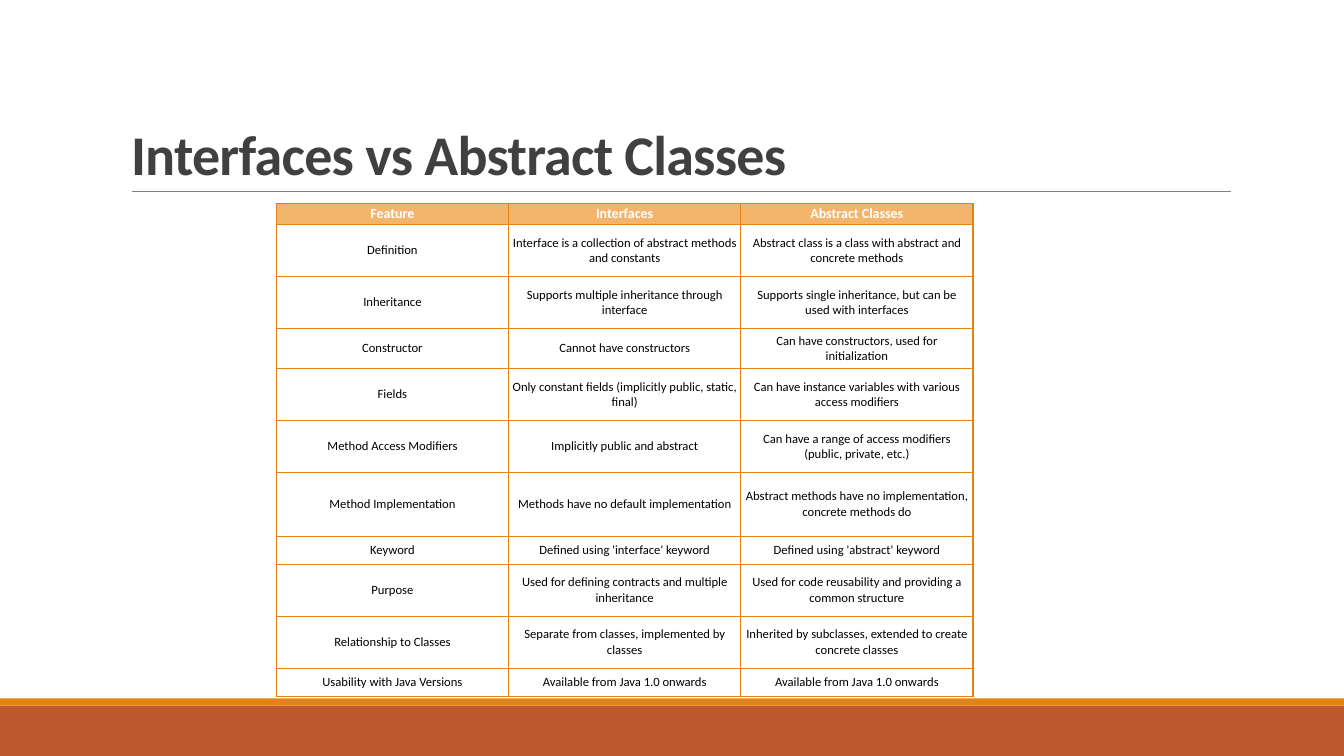
from dataclasses import dataclass

from lxml import etree
from pptx import Presentation
from pptx.dml.color import RGBColor
from pptx.enum.shapes import MSO_CONNECTOR, MSO_SHAPE
from pptx.enum.text import MSO_ANCHOR, MSO_AUTO_SIZE, PP_ALIGN
from pptx.oxml.ns import qn
from pptx.util import Inches, Pt

RECTANGLE = MSO_SHAPE.RECTANGLE
STRAIGHT = MSO_CONNECTOR.STRAIGHT
BOTTOM, MIDDLE = MSO_ANCHOR.BOTTOM, MSO_ANCHOR.MIDDLE
LEFT, CENTER = PP_ALIGN.LEFT, PP_ALIGN.CENTER
NO_AUTOFIT = MSO_AUTO_SIZE.NONE


@dataclass(frozen=True)
class Theme:
    font: str = "Calibri"
    title_size: float = 40
    header_size: float = 10
    body_size: float = 9
    title: str = "404040"
    header_text: str = "FFFFFF"
    body_text: str = "000000"
    accent: str = "E48312"
    footer: str = "BD582C"
    header_fill: str = "F3B56C"
    rule: str = "808080"


THEME = Theme()

SLIDE_WIDTH, SLIDE_HEIGHT = 13.33, 7.5
TABLE_LEFT, TABLE_TOP, TABLE_WIDTH = 2.74, 2.02, 6.91
HEADER_HEIGHT, BODY_HEIGHT = 0.16, 4.68

HEADERS = ("Feature", "Interfaces", "Abstract Classes")
# Each row: its share of the body height, then its three cells
COMPARISON = (
    (13, "Definition",
     "Interface is a collection of abstract methods and constants",
     "Abstract class is a class with abstract and concrete methods"),
    (13, "Inheritance",
     "Supports multiple inheritance through interface",
     "Supports single inheritance, but can be used with interfaces"),
    (10, "Constructor",
     "Cannot have constructors",
     "Can have constructors, used for initialization"),
    (13, "Fields",
     "Only constant fields (implicitly public, static, final)",
     "Can have instance variables with various access modifiers"),
    (13, "Method Access Modifiers",
     "Implicitly public and abstract",
     "Can have a range of access modifiers (public, private, etc.)"),
    (16, "Method Implementation",
     "Methods have no default implementation",
     "Abstract methods have no implementation, concrete methods do"),
    (7, "Keyword",
     "Defined using 'interface' keyword",
     "Defined using 'abstract' keyword"),
    (13, "Purpose",
     "Used for defining contracts and multiple inheritance",
     "Used for code reusability and providing a common structure"),
    (13, "Relationship to Classes",
     "Separate from classes, implemented by classes",
     "Inherited by subclasses, extended to create concrete classes"),
    (7, "Usability with Java Versions",
     "Available from Java 1.0 onwards",
     "Available from Java 1.0 onwards"),
)


def rgb(color):
    return RGBColor.from_string(color)


def add_run(paragraph, text, size, color, bold):
    run = paragraph.add_run()
    run.text = text
    run.font.name = THEME.font
    run.font.size = Pt(size)
    run.font.bold = bold
    run.font.color.rgb = rgb(color)
    return run


def add_band(slide, top, height, color):
    band = slide.shapes.add_shape(
        RECTANGLE, 0, Inches(top), Inches(SLIDE_WIDTH), Inches(height))
    band.shadow.inherit = False
    band.fill.solid()
    band.fill.fore_color.rgb = rgb(color)
    band.line.fill.background()


def add_title_rule(slide, left, right, y):
    rule = slide.shapes.add_connector(
        STRAIGHT, Inches(left), Inches(y), Inches(right), Inches(y))
    rule.line.color.rgb = rgb(THEME.rule)
    rule.line.width = Pt(0.5)
    etree.SubElement(rule._element.spPr, qn("a:effectLst"))


def set_title(slide, text):
    title = slide.shapes.title
    title.left, title.top = Inches(1.2), Inches(0.31)
    title.width, title.height = Inches(11), Inches(1.59)
    frame = title.text_frame
    frame.word_wrap = True
    frame.auto_size = NO_AUTOFIT
    frame.vertical_anchor = BOTTOM
    paragraph = frame.paragraphs[0]
    paragraph.alignment = LEFT
    paragraph.line_spacing = 0.85
    run = add_run(paragraph, text, THEME.title_size, THEME.title, True)
    run.font._element.set("spc", "-50")


def set_borders(cell):
    properties = cell._tc.get_or_add_tcPr()
    for side in ("lnL", "lnR", "lnT", "lnB"):
        border = etree.SubElement(properties, qn(f"a:{side}"), w=str(Pt(1)))
        fill = etree.SubElement(border, qn("a:solidFill"))
        etree.SubElement(fill, qn("a:srgbClr"), val=THEME.accent)


def fill_cell(cell, text, is_header):
    cell.margin_left = cell.margin_right = Inches(0.04)
    cell.margin_top = cell.margin_bottom = Inches(0.02)
    set_borders(cell)
    paragraph = cell.text_frame.paragraphs[0]
    paragraph.alignment = CENTER
    if is_header:
        cell.vertical_anchor = BOTTOM
        cell.fill.solid()
        cell.fill.fore_color.rgb = rgb(THEME.header_fill)
        add_run(paragraph, text, THEME.header_size, THEME.header_text, True)
    else:
        cell.vertical_anchor = MIDDLE
        cell.fill.background()
        add_run(paragraph, text, THEME.body_size, THEME.body_text, False)


def add_comparison_table(slide):
    rows = [HEADERS] + [cells for _, *cells in COMPARISON]
    total_share = sum(share for share, *_ in COMPARISON)
    heights = [HEADER_HEIGHT] + [
        BODY_HEIGHT * share / total_share for share, *_ in COMPARISON]
    table = slide.shapes.add_table(
        len(rows), len(HEADERS), Inches(TABLE_LEFT), Inches(TABLE_TOP),
        Inches(TABLE_WIDTH), Inches(sum(heights))).table
    table.first_row = table.horz_banding = False
    for column in table.columns:
        column.width = Inches(TABLE_WIDTH / len(HEADERS))
    for row_index, (texts, height) in enumerate(zip(rows, heights)):
        table.rows[row_index].height = Inches(height)
        for column_index, text in enumerate(texts):
            fill_cell(table.cell(row_index, column_index), text, row_index == 0)


def main():
    presentation = Presentation()
    presentation.slide_width = Inches(SLIDE_WIDTH)
    presentation.slide_height = Inches(SLIDE_HEIGHT)
    slide = presentation.slides.add_slide(presentation.slide_layouts[5])

    # Footer bands and the rule under the title
    add_band(slide, 7, 0.5, THEME.footer)
    add_band(slide, 6.93, 0.07, THEME.accent)
    add_title_rule(slide, 1.31, 12.21, 1.9)

    # Title and comparison
    set_title(slide, "Interfaces vs Abstract Classes")
    add_comparison_table(slide)

    presentation.save("out.pptx")


if __name__ == "__main__":
    main()
